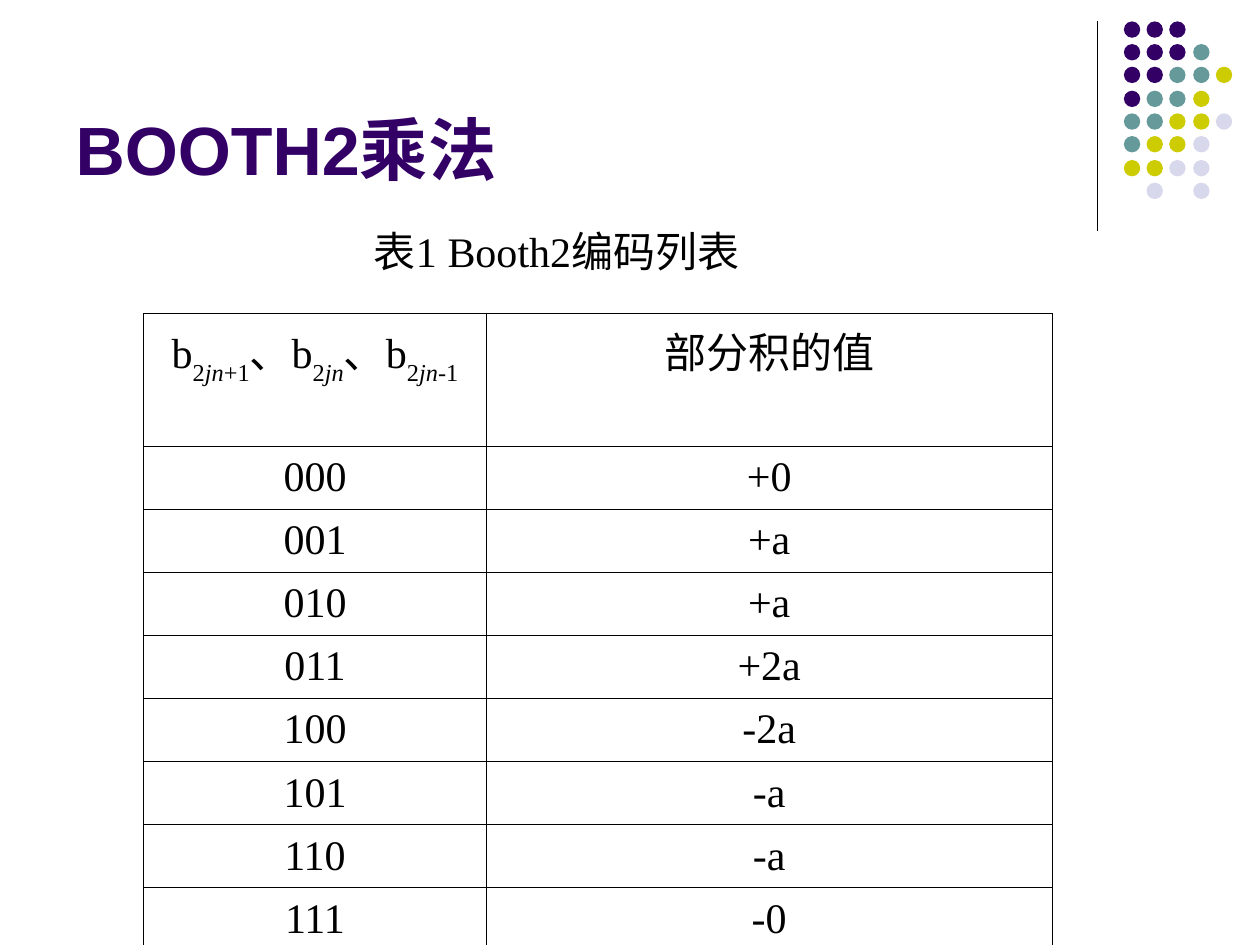
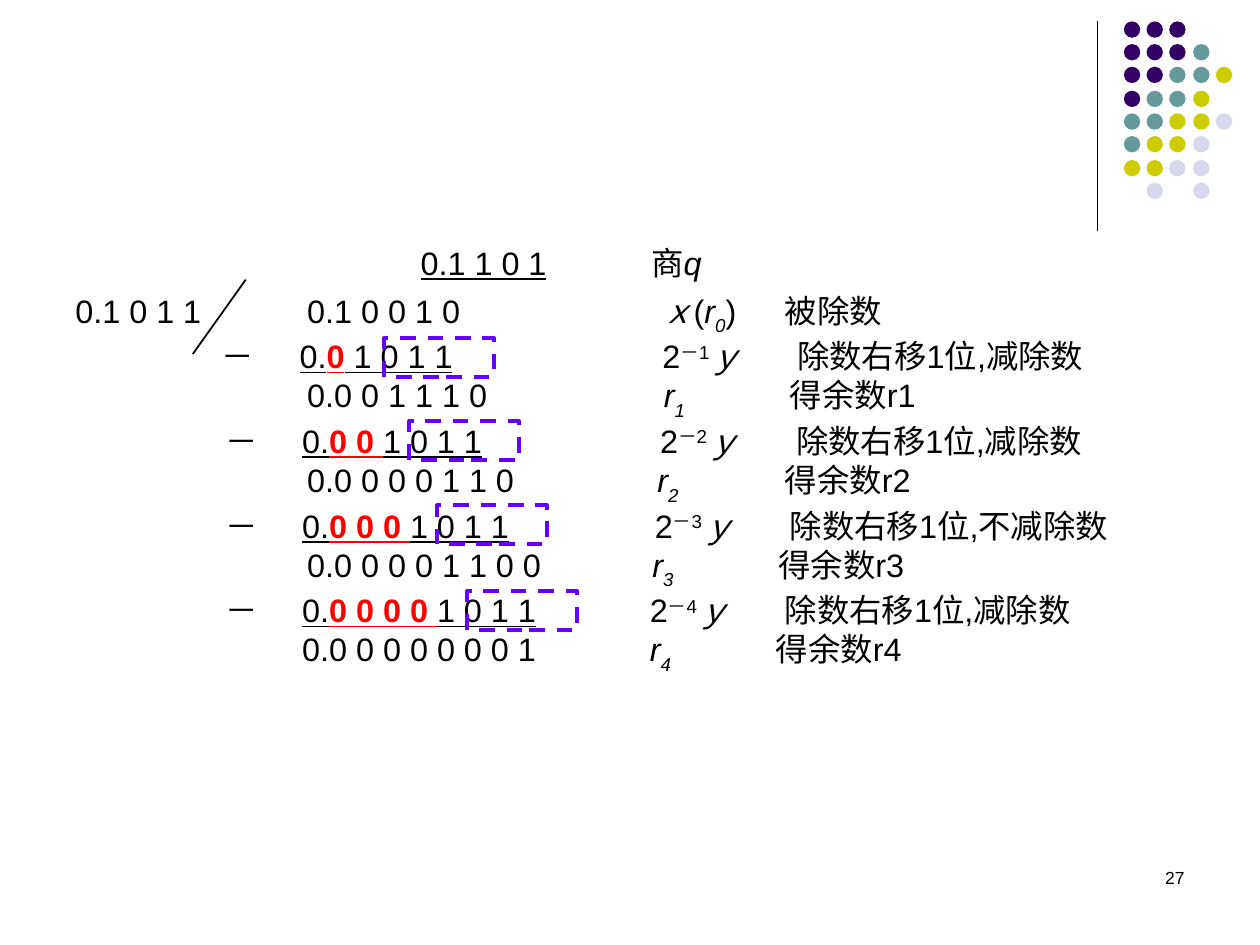
"""Build two slides on Booth multiplication codes and binary long division."""
import dataclasses

import pptx
import pptx.dml.color
import pptx.enum.dml
import pptx.enum.shapes
import pptx.enum.text
import pptx.oxml
import pptx.oxml.ns
import pptx.util
from lxml import etree

EMU_PER_PX = 9144
COLOR = pptx.dml.color.RGBColor.from_string
ALIGN = pptx.enum.text.PP_ALIGN
ANCHOR = pptx.enum.text.MSO_ANCHOR
SHAPE = pptx.enum.shapes.MSO_SHAPE


@dataclasses.dataclass(frozen=True)
class Theme:
    sans: str = "Arial"
    serif: str = "Times New Roman"
    ink: str = "000000"
    purple: str = "330066"
    teal: str = "669999"
    yellow: str = "CCCC00"
    lavender: str = "D8D8EC"
    red: str = "FF0000"
    violet: str = "6600FF"
    title_size: float = 39
    table_size: float = 24
    division_size: float = 18.5
    number_size: float = 10


theme = Theme()
RUN_STYLES = {
    "plain": {},
    "under": {"underline": True},
    "red": {"underline": True, "bold": True},
    "italic": {"italic": True},
    "sub": {"baseline": -30000},
    "sub italic": {"baseline": -30000, "italic": True},
    "super": {"baseline": 30000},
}


def write_runs(paragraph, runs, font_name, size):
    for text, style in runs:
        run = paragraph.add_run()
        run.text = text
        values = {"name": font_name, "size": pptx.util.Pt(size), **RUN_STYLES[style]}
        baseline = values.pop("baseline", None)
        for name, value in values.items():
            setattr(run.font, name, value)
        run.font.color.rgb = COLOR(theme.red if style == "red" else theme.ink)
        if baseline:
            run._r.get_or_add_rPr().set("baseline", str(baseline))


def add_text_frame(slide, box, **frame_values):
    shape = slide.shapes.add_textbox(*(value * EMU_PER_PX for value in box))
    for name, value in {"word_wrap": True, **frame_values}.items():
        setattr(shape.text_frame, name, value)
    return shape.text_frame


presentation = pptx.Presentation()
presentation.slide_width = 1000 * EMU_PER_PX
presentation.slide_height = 750 * EMU_PER_PX
table_slide = presentation.slides.add_slide(presentation.slide_layouts[5])
division_slide = presentation.slides.add_slide(presentation.slide_layouts[6])

dot_colors = {"P": theme.purple, "T": theme.teal, "Y": theme.yellow, "L": theme.lavender}
dot_rows = ["PPP", "PPPT", "PPTTY", "PTTY", "TTYYL", "TYYL", "YYLL", ".L.L"]
side_rule = ((871, 17, 871, 183), 0.75)
division_slash = ((195, 222, 153, 281), 1)
for slide, lines in ((table_slide, [side_rule]), (division_slide, [side_rule, division_slash])):
    for ends, width in lines:
        line = slide.shapes.add_connector(
            pptx.enum.shapes.MSO_CONNECTOR.STRAIGHT, *(value * EMU_PER_PX for value in ends))
        line.line.color.rgb = COLOR(theme.ink)
        line.line.width = pptx.util.Pt(width)
        etree.SubElement(line._element.spPr, pptx.oxml.ns.qn("a:effectLst"))
    dots = slide.shapes.add_group_shape()
    for row, letters in enumerate(dot_rows):
        for column, letter in enumerate(letters):
            if letter in dot_colors:
                box = (892 + 55 * column // 3, 17 + 55 * row // 3, 13, 13)
                dot = dots.shapes.add_shape(SHAPE.OVAL, *(value * EMU_PER_PX for value in box))
                dot.shadow.inherit = False
                dot.fill.solid()
                dot.fill.fore_color.rgb = COLOR(dot_colors[letter])
                dot.line.fill.background()

title = table_slide.shapes.title
for name, value in {"left": 50, "top": 13, "width": 825, "height": 142}.items():
    setattr(title, name, value * EMU_PER_PX)
title.text_frame.text = "BOOTH2乘法"
title.text_frame.vertical_anchor = ANCHOR.BOTTOM
title.text_frame.auto_size = pptx.enum.text.MSO_AUTO_SIZE.NONE
title_paragraph = title.text_frame.paragraphs[0]
title_paragraph.alignment = ALIGN.LEFT
title_font = title_paragraph.runs[0].font
title_format = {"name": theme.sans, "size": pptx.util.Pt(theme.title_size), "bold": True}
for name, value in title_format.items():
    setattr(title_font, name, value)
title_font.color.rgb = COLOR(theme.purple)

caption = add_text_frame(table_slide, (287, 174, 326, 50),
                         word_wrap=False, vertical_anchor=ANCHOR.MIDDLE)
write_runs(caption.paragraphs[0], [("表1 Booth2编码列表", "plain")],
           theme.serif, theme.table_size)

bits_header = [
    ("b", "plain"), ("2", "sub"), ("jn", "sub italic"), ("+1", "sub"),
    ("、b", "plain"), ("2", "sub"), ("jn", "sub italic"),
    ("、b", "plain"), ("2", "sub"), ("jn", "sub italic"), ("-1", "sub"),
]
partial_products = ["+0", "+a", "+a", "+2a", "-2a", "-a", "-a", "-0"]
table_rows = [(bits_header, [("部分积的值", "plain")])]
for code, product in enumerate(partial_products):
    table_rows.append(([(f"{code:03b}", "plain")], [(product, "plain")]))

table_box = (114, 249, 721, 505)
table = table_slide.shapes.add_table(
    len(table_rows), 2, *(value * EMU_PER_PX for value in table_box)).table
table.first_row = False
table.horz_banding = False
for column, width in zip(table.columns, (272, 449)):
    column.width = width * EMU_PER_PX
for row_index, row_runs in enumerate(table_rows):
    table.rows[row_index].height = (50 if row_index else 105) * EMU_PER_PX
    for column_index, runs in enumerate(row_runs):
        cell = table.cell(row_index, column_index)
        cell.vertical_anchor = ANCHOR.MIDDLE if row_index else ANCHOR.TOP
        paragraph = cell.text_frame.paragraphs[0]
        paragraph.alignment = ALIGN.CENTER
        write_runs(paragraph, runs, theme.serif, theme.table_size)
        for side in ("lnL", "lnR", "lnT", "lnB"):
            cell._tc.get_or_add_tcPr().append(pptx.oxml.parse_xml(
                f'<a:{side} {pptx.oxml.ns.nsdecls("a")} w="{pptx.util.Pt(0.45)}">'
                f'<a:solidFill><a:srgbClr val="{theme.ink}"/></a:solidFill></a:{side}>'))
        cell.fill.background()

division_rows = [
    ((128, 274, 406, 457),
     [("\t", "plain"), ("\t0.1 1 0 1\t", "under"), ("\t商", "plain"), ("q", "italic")]),
    ((184, 465, 563),
     [("0.1 0 1 1\t0.1 0 0 1 0\t", "plain"), ("ｘ", "italic"), ("(", "plain"),
      ("r", "italic"), ("0", "sub italic"), (")\t被除数", "plain")]),
]
subtractions = [
    ((116, 149, 178, 408, 466, 573), "0", " 1 0 1 1", "减除数"),
    ((119, 147, 180, 407, 464, 572), "0 0 ", "1 0 1 1", "减除数"),
    ((119, 147, 180, 403, 460, 567), "0 0 0 ", "1 0 1 1", "不减除数"),
    ((119, 147, 180, 398, 456, 563), "0 0 0 0 ", "1 0 1 1", "减除数"),
]
remainders = [
    ((184, 467, 567), "0.0 0 1 1 1 0"),
    ((184, 462, 563), "0.0 0 0 0 1 1 0"),
    ((184, 458, 558), "0.0 0 0 0 1 1 0 0"),
    ((180, 456, 556), "0.0 0 0 0 0 0 0 1"),
]
for step, (subtraction, remainder) in enumerate(zip(subtractions, remainders), start=1):
    stops, shifted_zeros, divisor, action = subtraction
    division_rows.append((stops, [
        ("\t－\t", "plain"), ("\t0.", "under"), (shifted_zeros, "red"),
        (divisor + "\t", "under"), ("\t2", "plain"), (f"－{step}", "super"),
        ("ｙ", "italic"), (f"\t除数右移1位,{action}", "plain")]))
    stops, digits = remainder
    division_rows.append((stops, [
        (f"\t{digits}\t", "plain"), ("r", "italic"), (str(step), "sub italic"),
        (f"\t得余数r{step}", "plain")]))

division = add_text_frame(division_slide, (50, 188, 900, 401))
for row_index, (stops, runs) in enumerate(division_rows):
    paragraph = division.add_paragraph() if row_index else division.paragraphs[0]
    tab_list = etree.SubElement(
        paragraph._p.get_or_add_pPr(), pptx.oxml.ns.qn("a:tabLst"))
    for stop in stops:
        etree.SubElement(tab_list, pptx.oxml.ns.qn("a:tab"),
                         pos=str(stop * EMU_PER_PX), algn="l")
    if row_index == 1:
        paragraph.space_before = pptx.util.Pt(5)
    write_runs(paragraph, runs, theme.sans, theme.division_size)

for left, top in ((305, 268), (325, 334), (347, 401), (371, 469)):
    frame = division_slide.shapes.add_shape(
        SHAPE.RECTANGLE, *(value * EMU_PER_PX for value in (left, top, 87, 31)))
    frame.shadow.inherit = False
    frame.fill.background()
    frame.line.color.rgb = COLOR(theme.violet)
    frame.line.width = pptx.util.Pt(2.25)
    frame.line.dash_style = pptx.enum.dml.MSO_LINE.DASH

slide_number = add_text_frame(division_slide, (717, 683, 233, 50)).paragraphs[0]
slide_number.alignment = ALIGN.RIGHT
write_runs(slide_number, [("27", "plain")], theme.sans, theme.number_size)

presentation.save("out.pptx")
